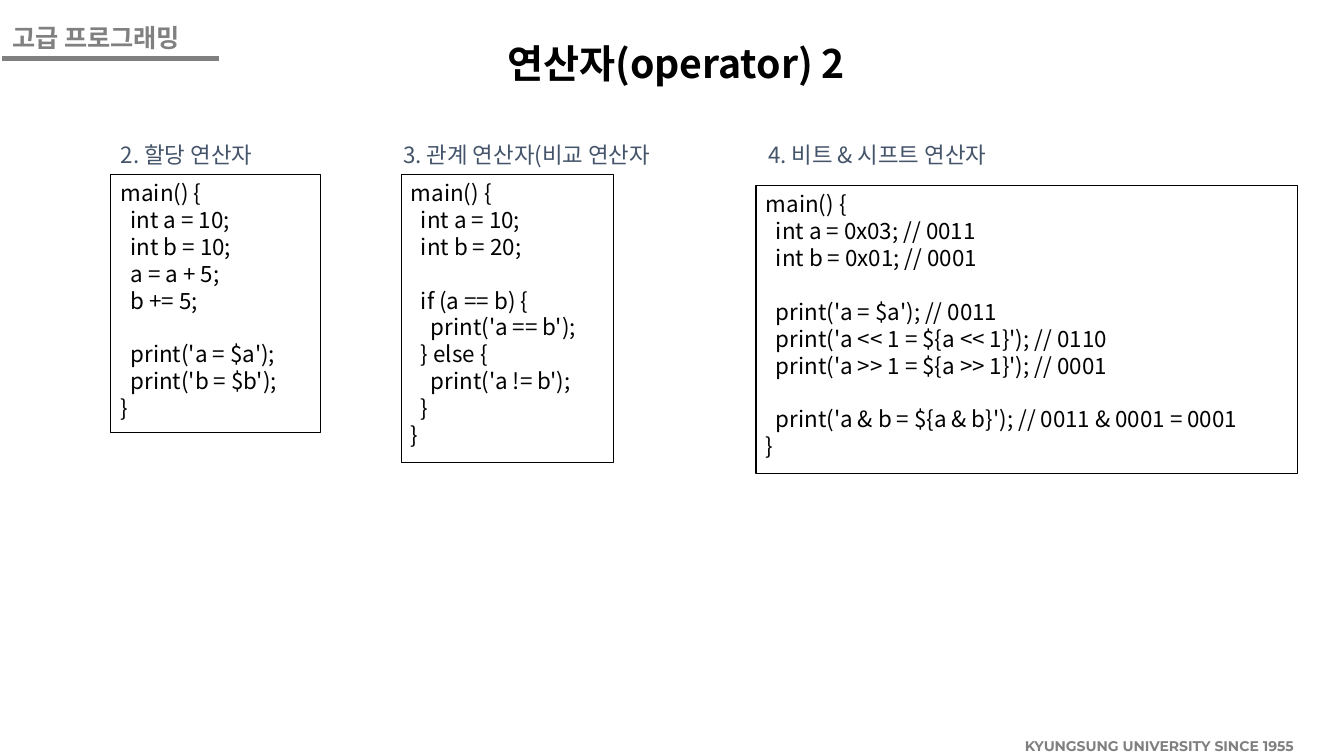
from dataclasses import dataclass
from lxml.etree import SubElement
from pptx import Presentation
from pptx.dml.color import RGBColor as Rgb
from pptx.enum.shapes import MSO_CONNECTOR as Conn, MSO_SHAPE as Kind
from pptx.enum.text import MSO_ANCHOR as Anchor, PP_ALIGN as Align
from pptx.oxml.ns import qn
from pptx.util import Pt


@dataclass(frozen=True)
class Theme:
    sans: str = "Noto Sans CJK KR"
    brand: str = "Montserrat"
    ink: str = "000000"
    slate: str = "44546A"
    gray: str = "808080"
    title: int = 28
    label: int = 18
    body: int = 16
    foot: int = 10
    lead: float = 1.2


THEME = Theme()

ASSIGN = """main() {
  int a = 10;
  int b = 10;
  a = a + 5;
  b += 5;

  print('a = $a');
  print('b = $b');
}"""

COMPARE = """main() {
  int a = 10;
  int b = 20;

  if (a == b) {
    print('a == b');
  } else {
    print('a != b');
  }
}"""

SHIFT = """main() {
  int a = 0x03; // 0011
  int b = 0x01; // 0001

  print('a = $a'); // 0011
  print('a << 1 = ${a << 1}'); // 0110
  print('a >> 1 = ${a >> 1}'); // 0001

  print('a & b = ${a & b}'); // 0011 & 0001 = 0001
}"""

# heading, its left edge, code, code box
PANELS = [
    ("2. 할당 연산자", (79.2, 120), ASSIGN, (79.2, 124.5, 150, 184.5)),
    ("3. 관계 연산자(비교 연산자", (281, 210), COMPARE, (286.5, 124.5, 152, 206)),
    ("4. 비트 & 시프트 연산자", (541.5, 192), SHIFT, (540, 132.5, 387, 206)),
]


def write(frame, text, size, color, bold=False, face=THEME.sans,
          align=Align.LEFT, wrap=False):
    """Fill a frame line by line; an empty line becomes space before the next."""
    frame.word_wrap = wrap
    frame.vertical_anchor = Anchor.TOP
    lead = Pt(size * THEME.lead)
    para, gap = frame.paragraphs[0], False
    for line in text.split("\n"):
        if not line:
            gap = True
            continue
        if para.runs:
            para = frame.add_paragraph()
        para.alignment = align
        para.line_spacing = lead
        para.space_before = lead if gap else Pt(0)
        gap = False
        run = para.add_run()
        run.text = line
        font = run.font
        font.size, font.bold = Pt(size), bold
        font.color.rgb = Rgb.from_string(color)
        font.name = face
        SubElement(font._element, qn("a:ea"), typeface=face)


def label(slide, box, text, size, color, **style):
    shape = slide.shapes.add_textbox(*map(Pt, box))
    write(shape.text_frame, text, size, color, **style)


def title(slide, box, text):
    shape = slide.shapes.title
    shape.left, shape.top, shape.width, shape.height = map(Pt, box)
    write(shape.text_frame, text, THEME.title, THEME.ink,
          bold=True, align=Align.CENTER)


def header(slide, box, text):
    """Course name with a thick rule under it."""
    left, top, width, height = box
    label(slide, (left, top, 148, height), text, THEME.label, THEME.gray, bold=True)
    rule = top + height + 0.5
    line = slide.shapes.add_connector(
        Conn.STRAIGHT, *map(Pt, (left, rule, left + width, rule)))
    line.line.color.rgb = Rgb.from_string(THEME.gray)
    line.line.width = Pt(3.75)
    SubElement(line._element.spPr, qn("a:effectLst"))


def footer(slide, box, text):
    label(slide, box, text, THEME.foot, THEME.gray, bold=True,
          face=THEME.brand, wrap=True)


def code(slide, box, text):
    shape = slide.shapes.add_shape(Kind.RECTANGLE, *map(Pt, box))
    shape.shadow.inherit = False
    shape.fill.background()
    shape.line.color.rgb = Rgb.from_string(THEME.ink)
    shape.line.width = Pt(0.75)
    write(shape.text_frame, text, THEME.body, THEME.ink, wrap=True)


def main():
    deck = Presentation()
    deck.slide_width, deck.slide_height = Pt(960), Pt(540)
    slide = deck.slides.add_slide(deck.slide_layouts[5])
    footer(slide, (725, 523.5, 230, 20), "KYUNGSUNG UNIVERSITY SINCE 1955")
    header(slide, (1.5, 12.5, 155, 29), "고급 프로그래밍")
    title(slide, (351.5, 24.5, 263, 41), "연산자(operator) 2")
    for name, (left, width), text, box in PANELS:
        label(slide, (left, 97.2, width, 26.6), name, THEME.body, THEME.slate)
        code(slide, box, text)
    deck.save("out.pptx")


if __name__ == "__main__":
    main()
